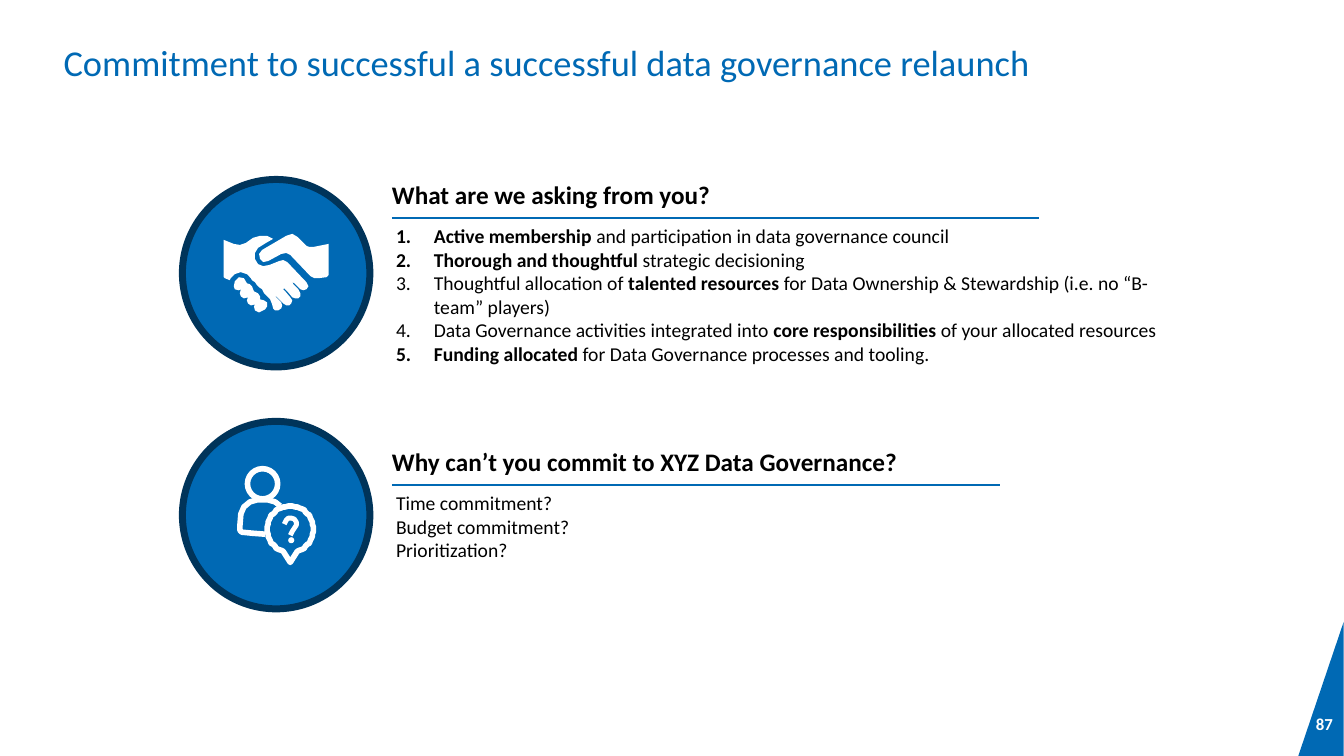
from math import cos, sin, radians
from lxml import etree
from pptx import Presentation
from pptx.dml.color import RGBColor
from pptx.enum.shapes import MSO_CONNECTOR, MSO_SHAPE
from pptx.enum.text import MSO_ANCHOR, MSO_AUTO_SIZE, PP_ALIGN
from pptx.oxml.ns import qn
from pptx.util import Pt

OVAL, STRAIGHT = MSO_SHAPE.OVAL, MSO_CONNECTOR.STRAIGHT
TOP, BOTTOM = MSO_ANCHOR.TOP, MSO_ANCHOR.BOTTOM
LEFT, CENTER = PP_ALIGN.LEFT, PP_ALIGN.CENTER
NO_FIT = MSO_AUTO_SIZE.NONE

# Content: each paragraph is a list of (text, bold) runs
TITLE = "Commitment to successful a successful data governance relaunch"
PAGE = "87"
SECTIONS = [
    {"heading": "What are we asking from you?", "numbered": True,
     "top": 126.7, "rule": 462.5, "body": (549.5, 123), "circle": 128.2,
     "lines": [
         [("Active membership ", True), ("and participation in data governance council", False)],
         [("Thorough and thoughtful ", True), ("strategic decisioning", False)],
         [("Thoughtful allocation of ", False), ("talented resources ", True),
          ("for Data Ownership & Stewardship (i.e. no “B-team” players)", False)],
         [("Data Governance activities integrated into ", False),
          ("core responsibilities ", True), ("of your allocated resources", False)],
         [("Funding allocated", True),
          (" for Data Governance processes and tooling.", False)]]},
    {"heading": "Why can’t you commit to XYZ Data Governance?", "numbered": False,
     "top": 317.5, "rule": 434.2, "body": (263.5, 68.4), "circle": 301,
     "lines": [[("Time commitment?", False)], [("Budget commitment?", False)],
               [("Prioritization?", False)]]},
]

# Icon outlines, on a grid of 0.72 pt
GRID = 0.72
HANDSHAKE = [
    # left arm and fingers
    [(228, 278), (223, 276), (222, 275), (222, 238), (232, 242), (238, 243), (244, 241),
     (251, 236), (258, 234), (265, 234), (271, 237), (264, 241), (256, 246), (253, 251),
     (253, 257), (256, 262), (261, 264), (267, 263), (277, 259), (281, 258), (285, 260),
     (304, 280), (306, 284), (304, 287), (301, 288), (298, 287), (292, 281), (290, 280),
     (291, 282), (296, 287), (298, 291), (298, 294), (296, 296), (293, 296), (290, 295),
     (285, 289), (282, 286), (281, 287), (283, 289), (288, 295), (290, 298), (289, 301),
     (287, 303), (284, 303), (281, 301), (275, 295), (273, 293), (274, 295), (279, 300),
     (280, 303), (279, 306), (276, 308), (273, 308), (271, 306), (270, 302), (268, 297),
     (264, 293), (262, 291), (260, 287), (257, 285), (255, 283), (253, 280), (250, 278),
     (249, 276), (245, 272), (239, 270), (233, 272), (229, 276)],
    # right arm and thumb
    [(326, 242), (326, 273), (324, 275), (316, 276), (312, 276), (308, 274), (288, 253),
     (284, 251), (279, 252), (266, 259), (261, 260), (258, 257), (257, 252), (260, 248),
     (284, 234), (290, 232), (295, 235), (304, 244), (307, 245), (311, 245)],
    # knuckles
    [(239, 287), (237, 288), (233, 287), (232, 284), (233, 279), (237, 275), (242, 276),
     (245, 281), (248, 282), (250, 284), (252, 289), (256, 291), (258, 294), (258, 297),
     (262, 298), (265, 300), (265, 304), (263, 307), (257, 310), (253, 308), (252, 304),
     (253, 302), (249, 303), (246, 301), (245, 298), (246, 295), (242, 296), (239, 294),
     (238, 291)],
]
SHOULDERS = [(263, 529.5), (250, 529), (240, 528), (238, 526), (238, 522), (239, 510),
             (242, 503), (248, 498), (255, 496.5), (266, 496.5), (273, 498.5), (278, 502)]
HEAD = (260.5, 480, 15)    # centre x, centre y, radius
BUBBLE = (288, 525, 23)
HOOK = [(282, 519.5), (283.5, 516), (286, 514), (289, 513.5), (292, 515), (294, 518),
        (294, 521), (292, 524.5), (289.5, 527), (288.5, 531)]
DOT = (289, 536, 3)

THEME = {
    "font": "Calibri", "blue": RGBColor(0x00, 0x69, 0xB4), "navy": RGBColor(0x00, 0x34, 0x5A),
    "white": RGBColor(255, 255, 255), "black": RGBColor(0, 0, 0),
    "title": 26, "heading": 18, "body": 14, "page": 12,
}
BLUE, NAVY, WHITE, BLACK = (THEME[c] for c in ("blue", "navy", "white", "black"))
TEXT_X, CIRCLE_X, CIRCLE = 280, 130.3, 133.9

prs = Presentation()
prs.slide_width, prs.slide_height = Pt(960), Pt(540)
s = prs.slides.add_slide(prs.slide_layouts[5])


def write(sp, lines, size, color, insets, anchor=TOP, align=LEFT, spacing=None,
          numbered=False, wrap=True):
    tf = sp.text_frame
    sides = ("margin_left", "margin_top", "margin_right", "margin_bottom")
    frame = dict(zip(sides, map(Pt, insets)), auto_size=NO_FIT, word_wrap=wrap,
                 vertical_anchor=anchor)
    for name, value in frame.items():
        setattr(tf, name, value)
    for i, runs in enumerate(lines):
        p = tf.add_paragraph() if i else tf.paragraphs[0]
        p.alignment, p.line_spacing = align, spacing
        if numbered:
            pPr = p._p.get_or_add_pPr()
            pPr.set("marL", str(Pt(27)))
            pPr.set("indent", str(-Pt(27)))
            etree.SubElement(pPr, qn("a:buAutoNum"), type="arabicPeriod")
        for text, bold in runs:
            r = p.add_run()
            r.text = text
            style = {"name": THEME["font"], "size": Pt(size), "bold": bold}
            for name, value in style.items():
                setattr(r.font, name, value)
            r.font.color.rgb = color


def add_text(x, y, w, h, *args, **kwargs):
    write(s.shapes.add_textbox(Pt(x), Pt(y), Pt(w), Pt(h)), *args, **kwargs)


def paint(sp, fill=None, line=None, width=0):
    sp.shadow.inherit = False
    for part, color in ((sp.fill, fill), (sp.line.fill, line)):
        if color is None:
            part.background()
        else:
            part.solid()
            part.fore_color.rgb = color
    if line is not None:
        sp.line.width = Pt(width)


def outline(points, closed=True, **colors):
    builder = s.shapes.build_freeform(*points[0], scale=Pt(GRID))
    builder.add_line_segments(points[1:], close=closed)
    paint(builder.convert_to_shape(), **colors)


def disc(x, y, size, **colors):
    paint(s.shapes.add_shape(OVAL, Pt(x), Pt(y), Pt(size), Pt(size)), **colors)


def grid_disc(cx, cy, radius, **colors):
    disc((cx - radius) * GRID, (cy - radius) * GRID, 2 * radius * GRID, **colors)


# Page corner and number
outline([(1288, 750), (1333.33, 617), (1333.33, 750)], fill=BLUE)
add_text(931.7, 506.2, 28.8, 21.6, [[(PAGE, True)]], THEME["page"], WHITE,
         (0, 3.6, 0, 3.6), align=CENTER, wrap=False)

# Title
title = s.shapes.title
title.left, title.top, title.width, title.height = Pt(45.4), Pt(28.8), Pt(869), Pt(28.1)
write(title, [[(TITLE, False)]], THEME["title"], BLUE, (0, 3.6, 8.6, 3.6), spacing=0.9)

# Sections: heading, rule, text and circle
for sec in SECTIONS:
    add_text(TEXT_X, sec["top"], sec["rule"], 28.8, [[(sec["heading"], True)]],
             THEME["heading"], BLACK, (0, 0, 0, 5.8), anchor=BOTTOM, spacing=1.1)
    rule_y = sec["top"] + 28.8
    rule = s.shapes.add_connector(STRAIGHT, Pt(TEXT_X), Pt(rule_y),
                                  Pt(TEXT_X + sec["rule"]), Pt(rule_y))
    rule.line.color.rgb, rule.line.width = BLUE, Pt(1.5)
    etree.SubElement(rule._element.spPr, qn("a:effectLst"))
    add_text(TEXT_X, rule_y + 3, *sec["body"], sec["lines"], THEME["body"], BLACK,
             (2.9, 1.4, 2.9, 1.4), numbered=sec["numbered"])
    disc(CIRCLE_X, sec["circle"], CIRCLE, fill=BLUE, line=NAVY, width=5)

# Handshake icon
for part in HANDSHAKE:
    outline(part, fill=WHITE)

# Person with question bubble
grid_disc(*HEAD, line=WHITE, width=4)
outline(SHOULDERS, closed=False, line=WHITE, width=4)
bx, by, br = BUBBLE
ring = [(bx + br * cos(radians(a)), by + br * sin(radians(a))) for a in range(108, 433, 6)]
outline(ring + [(bx, by + 33)], fill=BLUE, line=WHITE, width=4)
outline(HOOK, closed=False, line=WHITE, width=3.5)
grid_disc(*DOT, fill=WHITE)

prs.save("out.pptx")
